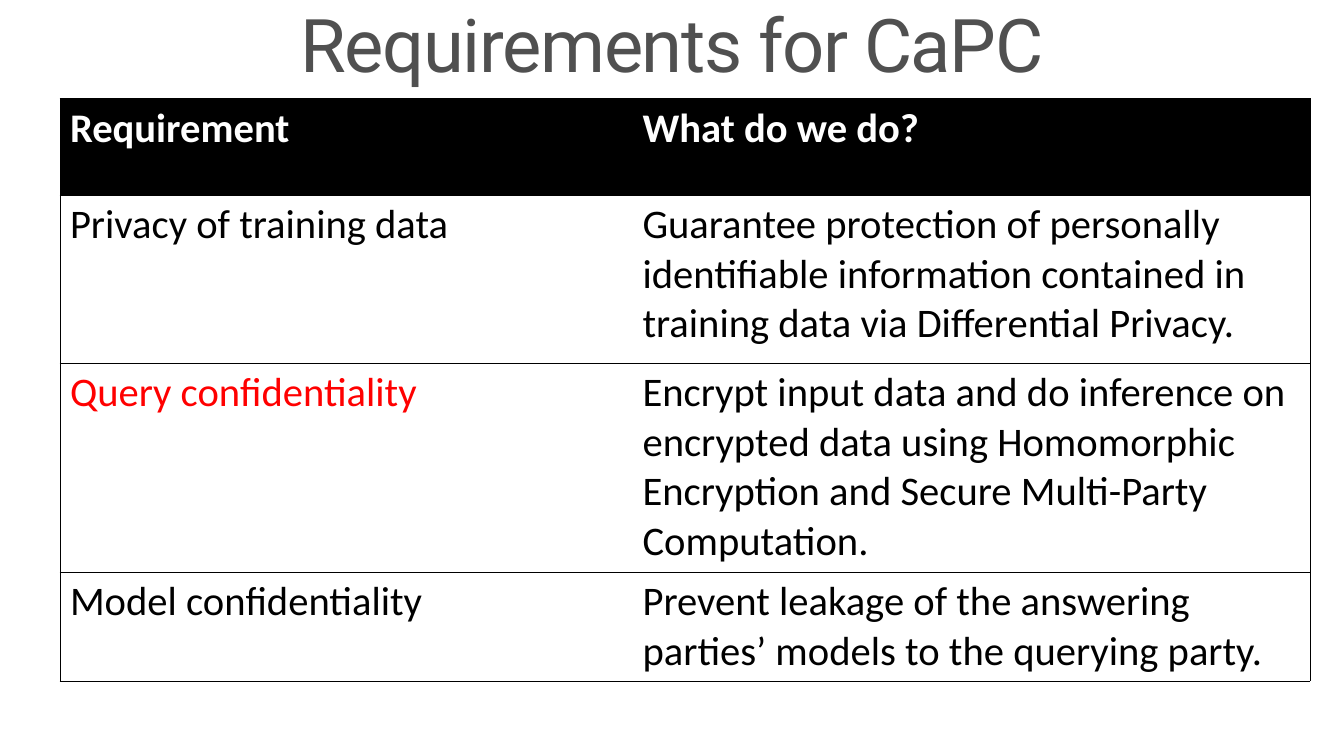
from dataclasses import dataclass

from lxml.etree import SubElement
from pptx import Presentation
from pptx.dml.color import RGBColor
from pptx.enum.text import MSO_ANCHOR, PP_ALIGN
from pptx.oxml.ns import qn
from pptx.util import Pt


@dataclass(frozen=True)
class Theme:
    heading: str = "505050"
    black: str = "000000"
    white: str = "FFFFFF"
    alert: str = "FF0000"
    heading_font: str = "Roboto"
    body_font: str = "Calibri"
    heading_size: float = 52.9
    body_size: float = 29
    border_width: float = 0.5


theme = Theme()


def write(frame, text, *, color, font=theme.body_font, size=theme.body_size,
          bold=False, align=PP_ALIGN.LEFT, line_spacing=1.0, tracking=0):
    paragraph = frame.paragraphs[0]
    paragraph.alignment = align
    paragraph.line_spacing = line_spacing
    run = paragraph.add_run()
    run.text = text
    run.font.name = font
    run.font.size = Pt(size)
    run.font.bold = bold
    run.font.color.rgb = RGBColor.from_string(color)
    if tracking:
        run.font._element.set("spc", str(tracking * 100))


def draw_border(cell, side, visible):
    line = SubElement(cell._tc.get_or_add_tcPr(), qn(f"a:ln{side}"),
                      w=str(Pt(theme.border_width)))
    if visible:
        fill = SubElement(line, qn("a:solidFill"))
        SubElement(fill, qn("a:srgbClr"), val=theme.black)
    else:
        SubElement(line, qn("a:noFill"))


# Slide
presentation = Presentation()
presentation.slide_width, presentation.slide_height = Pt(960), Pt(540)
slide = presentation.slides.add_slide(presentation.slide_layouts[5])

# Title
heading = slide.shapes.title
heading.left, heading.top, heading.width, heading.height = Pt(0), Pt(0), Pt(960), Pt(69)
heading.text_frame.vertical_anchor = MSO_ANCHOR.MIDDLE
write(heading.text_frame, "Requirements for CaPC", color=theme.heading,
      font=theme.heading_font, size=theme.heading_size,
      align=PP_ALIGN.CENTER, line_spacing=0.9, tracking=-1)

# Table content: requirement, its colour, measure, row height
rows = [
    ("Requirement", theme.white, "What do we do?", 69.1),
    ("Privacy of training data", theme.black,
     "Guarantee protection of personally identifiable information contained in "
     "training data via Differential Privacy.", 119.8),
    ("Query confidentiality", theme.alert,
     "Encrypt input data and do inference on encrypted data using Homomorphic "
     "Encryption and Secure Multi-Party Computation.", 149.3),
    ("Model confidentiality", theme.black,
     "Prevent leakage of the answering parties’ models to the querying party.", 76.4),
]
column_widths = (409, 484)

# Table
requirements = slide.shapes.add_table(
    len(rows), len(column_widths), Pt(42.8), Pt(70.3),
    Pt(sum(column_widths)), Pt(sum(row[-1] for row in rows))).table
requirements.horz_banding = False
for column, width in zip(requirements.columns, column_widths):
    column.width = Pt(width)

for row_index, (requirement, requirement_color, measure, height) in enumerate(rows):
    requirements.rows[row_index].height = Pt(height)
    is_header = row_index == 0
    measure_color = theme.white if is_header else theme.black
    entries = ((requirement, requirement_color), (measure, measure_color))
    for column_index, (text, color) in enumerate(entries):
        cell = requirements.cell(row_index, column_index)
        # Outer frame and row rules, no rule between the columns
        for side in "LRTB":
            inner = side == ("R" if column_index == 0 else "L")
            draw_border(cell, side, visible=not inner)
        cell.fill.solid()
        cell.fill.fore_color.rgb = RGBColor.from_string(
            theme.black if is_header else theme.white)
        write(cell.text_frame, text, color=color, bold=is_header)

presentation.save("out.pptx")
